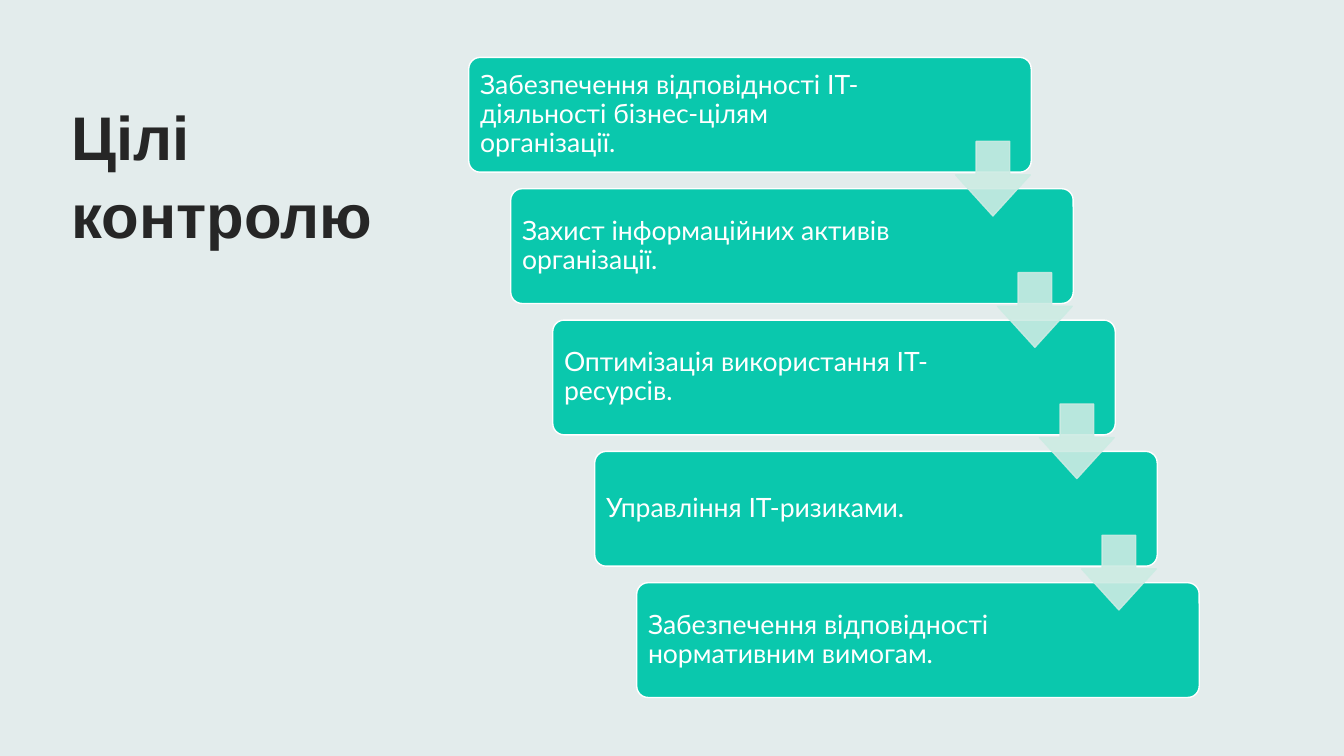
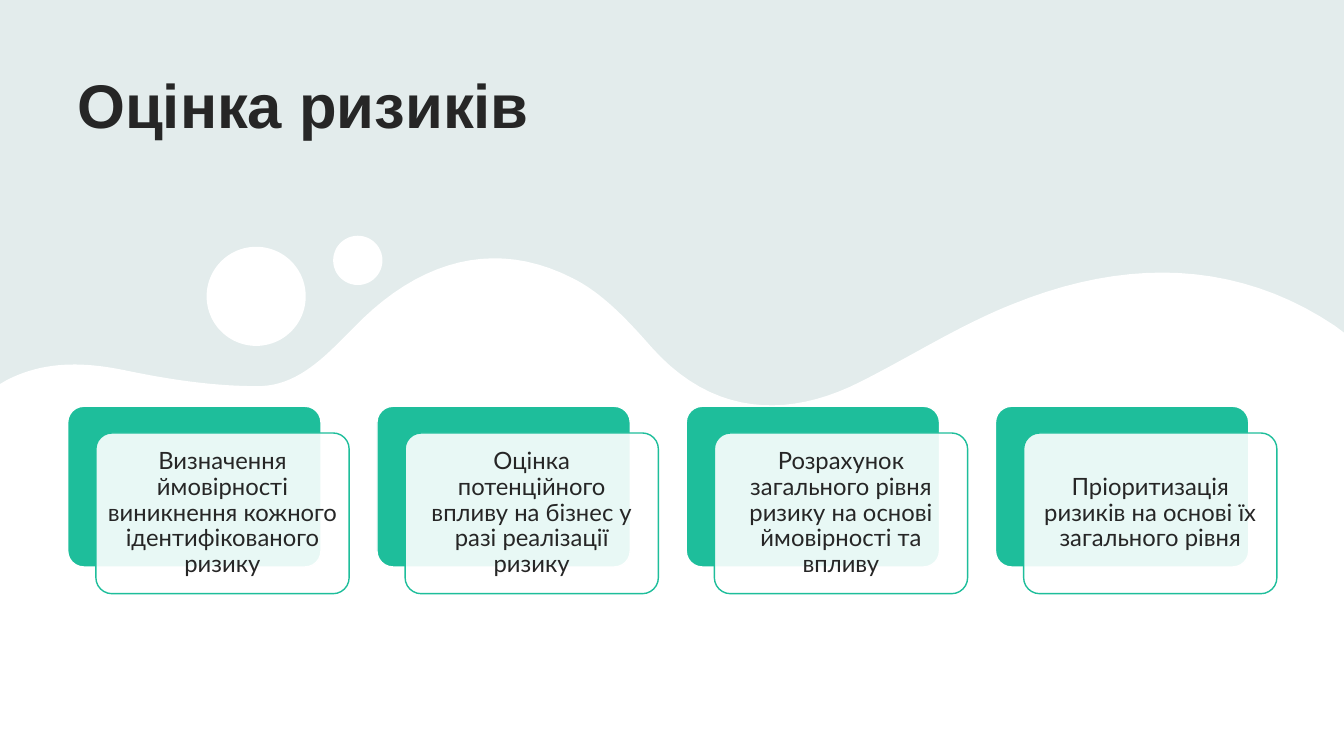
"""Build two slides on IT control goals and risk assessment."""
from dataclasses import dataclass

import pptx
import pptx.dml.color
import pptx.enum.shapes
import pptx.enum.text
import pptx.oxml
import pptx.oxml.ns
import pptx.util

Pt = pptx.util.Pt
SHAPE = pptx.enum.shapes.MSO_SHAPE
ALIGN = pptx.enum.text.PP_ALIGN
ANCHOR = pptx.enum.text.MSO_ANCHOR


@dataclass(frozen=True)
class Theme:
    """Colours, fonts and type sizes."""
    background: str = "E3ECEC"
    ink: str = "262626"
    white: str = "FFFFFF"
    goal: str = "0AC8AD"
    arrow: str = "CCEBE3"
    risk: str = "1EBE9B"
    title_font: str = "Arial"
    body_font: str = "Lato"
    title_size: float = 44
    goal_size: float = 19
    risk_size: float = 17
    opacity: int = 90


THEME = Theme()
SLIDE_SIZE = (960, 540)

GOALS_TITLE = "Цілі контролю"
GOALS = [
    "Забезпечення відповідності ІТ-діяльності бізнес-цілям організації.",
    "Захист інформаційних активів організації.",
    "Оптимізація використання ІТ-ресурсів.",
    "Управління ІТ-ризиками.",
    "Забезпечення відповідності нормативним вимогам.",
]
RISKS_TITLE = "Оцінка ризиків"
RISKS = [
    "Визначення ймовірності виникнення кожного ідентифікованого ризику",
    "Оцінка потенційного впливу на бізнес у разі реалізації ризику",
    "Розрахунок загального рівня ризику на основі ймовірності та впливу",
    "Пріоритизація ризиків на основі їх загального рівня",
]

BUBBLES = [(183, 211.7, 35.4), (255.6, 186, 17.6)]
WAVE_START = (5, 271.4)
WAVE_CURVES = [
    ((31.7, 257.8), (59, 258.5), (87.8, 264.2)),
    ((118.8, 270.7), (151.2, 275.8), (182.9, 275.8)),
    ((212.4, 276.5), (232.6, 254.2), (252, 234.7)),
    ((299.5, 185), (354.2, 170.6), (409, 198.7)),
    ((430.6, 209.5), (448.6, 229), (465.1, 247.7)),
    ((509, 297.4), (563, 298.8), (614.2, 272.9)),
    ((650.2, 254.9), (684.7, 232.6), (722.9, 217.4)),
    ((804.2, 184.3), (883.4, 185.8), (953.3, 232.6)),
]
WAVE_END = [(960, 237.6), (960, 540), (0, 540), (0, 274.3)]
CURVE_STEPS = 20


def rgb(colour):
    """Turn a hex string into a colour."""
    return pptx.dml.color.RGBColor.from_string(colour)


def paint(shape, fill, line=None):
    """Set fill and outline, without a shadow."""
    shape.shadow.inherit = False
    shape.fill.solid()
    shape.fill.fore_color.rgb = rgb(fill)
    if line:
        shape.line.color.rgb = rgb(line)
        shape.line.width = Pt(1)
    else:
        shape.line.fill.background()


def fade(properties):
    """Make the solid fill of a shape or a line slightly transparent."""
    colour = properties.find("a:solidFill/a:srgbClr", pptx.oxml.ns.nsmap_for_search
                             if hasattr(pptx.oxml.ns, "nsmap_for_search")
                             else {"a": pptx.oxml.ns.nsuri("a")})
    alpha = pptx.oxml.parse_xml(
        f'<a:alpha {pptx.oxml.ns.nsdecls("a")} val="{THEME.opacity * 1000}"/>')
    colour.append(alpha)


def add_preset(slide, kind, frame, fill, line=None, adjustments=()):
    """Add a preset shape."""
    shape = slide.shapes.add_shape(kind, *map(Pt, frame))
    paint(shape, fill, line)
    for index, value in enumerate(adjustments):
        shape.adjustments[index] = value
    return shape


def write(shape, text, font, size, colour, align, anchor, spacing, bold=False):
    """Write one paragraph into a shape."""
    frame = shape.text_frame
    frame.word_wrap = True
    frame.auto_size = pptx.enum.text.MSO_AUTO_SIZE.NONE
    frame.vertical_anchor = anchor
    para = frame.paragraphs[0]
    para.alignment = align
    para.line_spacing = spacing
    span = para.add_run()
    span.text = text
    span.font.name = font
    span.font.size = Pt(size)
    span.font.bold = bold
    span.font.color.rgb = rgb(colour)


def set_margins(shape, left, top, right, bottom):
    """Set the text margins of a shape."""
    frame = shape.text_frame
    frame.margin_left, frame.margin_top = Pt(left), Pt(top)
    frame.margin_right, frame.margin_bottom = Pt(right), Pt(bottom)


def add_titled_slide(deck, title, frame):
    """Add a title-only slide with its title placed."""
    slide = deck.slides.add_slide(deck.slide_layouts[5])
    box = slide.shapes.title
    box.left, box.top, box.width, box.height = map(Pt, frame)
    write(box, title, THEME.title_font, THEME.title_size, THEME.ink,
          ALIGN.LEFT, ANCHOR.TOP, 1.06, bold=True)
    return slide


def curve_points(start, first, second, end):
    """Return points along a cubic curve, without its start."""
    points = []
    for step in range(1, CURVE_STEPS + 1):
        t = step / CURVE_STEPS
        weights = ((1 - t) ** 3, 3 * t * (1 - t) ** 2, 3 * t * t * (1 - t), t ** 3)
        points.append(tuple(
            sum(weight * value for weight, value in zip(weights, values))
            for values in zip(start, first, second, end)))
    return points


def add_wave(slide):
    """Draw the white wave and the bubbles above it."""
    points = [WAVE_START]
    for curve in WAVE_CURVES:
        points += curve_points(points[-1], *curve)
    points += WAVE_END
    corners = [(Pt(x), Pt(y)) for x, y in points]
    builder = slide.shapes.build_freeform(*corners[0])
    builder.add_line_segments(corners[1:], close=True)
    paint(builder.convert_to_shape(), THEME.white)
    for x, y, radius in BUBBLES:
        add_preset(slide, SHAPE.OVAL, (x - radius, y - radius, 2 * radius, 2 * radius),
                   THEME.white)


def build_goals(deck):
    """Build the staircase of control goals."""
    slide = add_titled_slide(deck, GOALS_TITLE, (44, 64, 291, 426))
    left, top, width, height = 334.8, 41, 401.8, 82
    step_x, step_y = 30, 93.8
    for index, goal in enumerate(GOALS):
        card = add_preset(slide, SHAPE.ROUNDED_RECTANGLE,
                          (left + index * step_x, top + index * step_y, width, height),
                          THEME.goal, THEME.white, [0.1])
        set_margins(card, 5.7, 5.7, 100, 5.7)
        write(card, goal, THEME.body_font, THEME.goal_size, THEME.white,
              ALIGN.LEFT, ANCHOR.MIDDLE, 0.9)
    arrow_left, arrow_top, arrow_size = 682.6, 101, 53.3
    for index in range(len(GOALS) - 1):
        arrow = add_preset(slide, SHAPE.DOWN_ARROW,
                           (arrow_left + index * step_x, arrow_top + index * step_y,
                            arrow_size, arrow_size),
                           THEME.arrow, THEME.arrow, [0.45, 0.55])
        fade(arrow.element.spPr)
        fade(arrow.line.get_or_add_ln() if hasattr(arrow.line, "get_or_add_ln")
             else arrow.get_or_add_ln())


def build_risks(deck):
    """Build the row of risk assessment steps."""
    slide = add_titled_slide(deck, RISKS_TITLE, (48, 41, 864, 72))
    add_wave(slide)
    left, top, width, height = 48.4, 290.2, 180.9, 114.8
    pitch, shift_x, shift_y = 220.9, 20.1, 19.1
    for index, risk in enumerate(RISKS):
        x = left + index * pitch
        add_preset(slide, SHAPE.ROUNDED_RECTANGLE, (x, top, width, height),
                   THEME.risk, THEME.white, [0.1])
        card = add_preset(slide, SHAPE.ROUNDED_RECTANGLE,
                          (x + shift_x, top + shift_y, width, height),
                          THEME.white, THEME.risk, [0.1])
        fade(card.element.spPr)
        set_margins(card, 5, 5, 5, 5)
        write(card, risk, THEME.body_font, THEME.risk_size, THEME.ink,
              ALIGN.CENTER, ANCHOR.MIDDLE, 0.9)


def main():
    """Build and save the deck."""
    deck = pptx.Presentation()
    deck.slide_width, deck.slide_height = map(Pt, SLIDE_SIZE)
    backdrop = deck.slide_master.background.fill
    backdrop.solid()
    backdrop.fore_color.rgb = rgb(THEME.background)
    build_goals(deck)
    build_risks(deck)
    deck.save("out.pptx")


if __name__ == "__main__":
    main()
